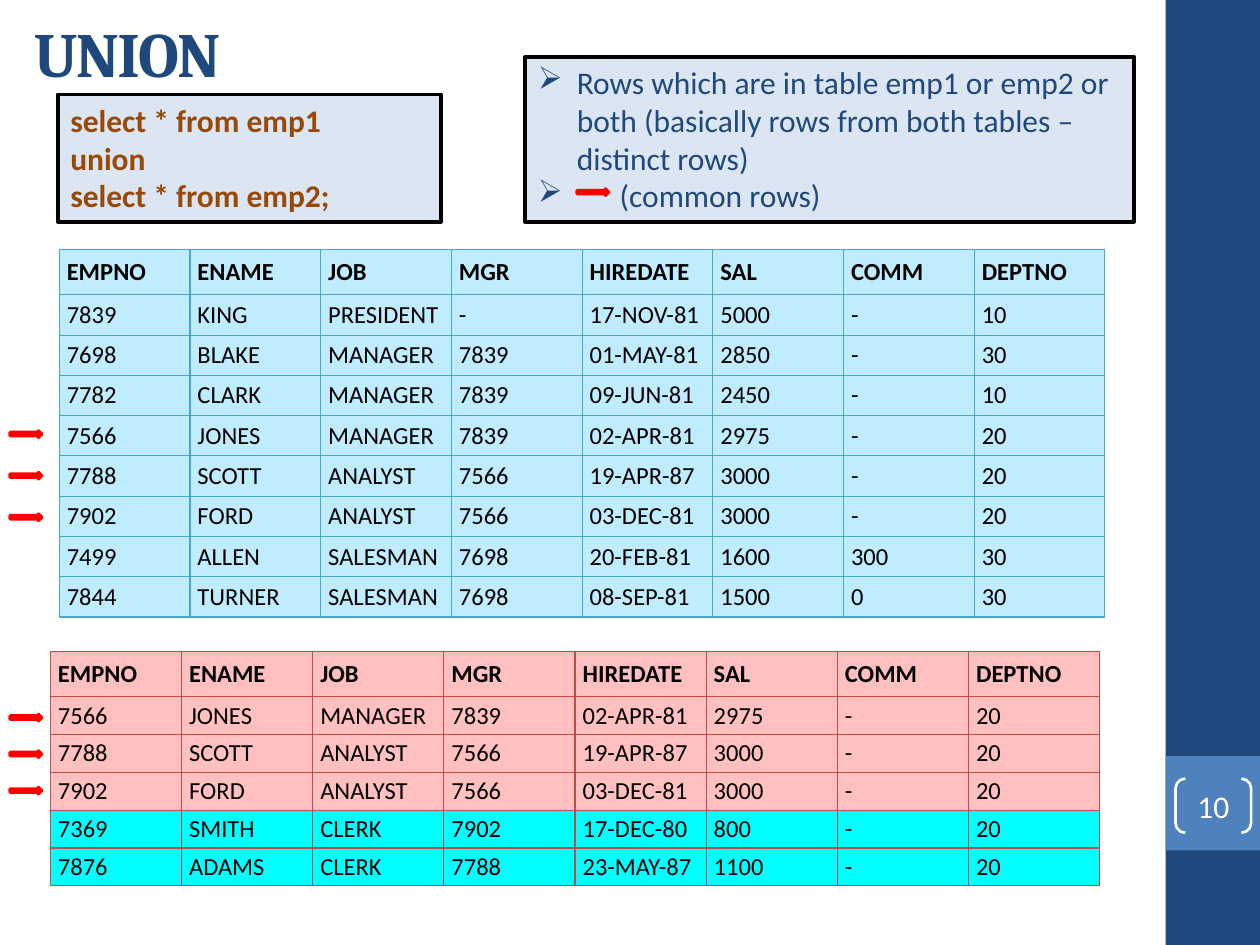
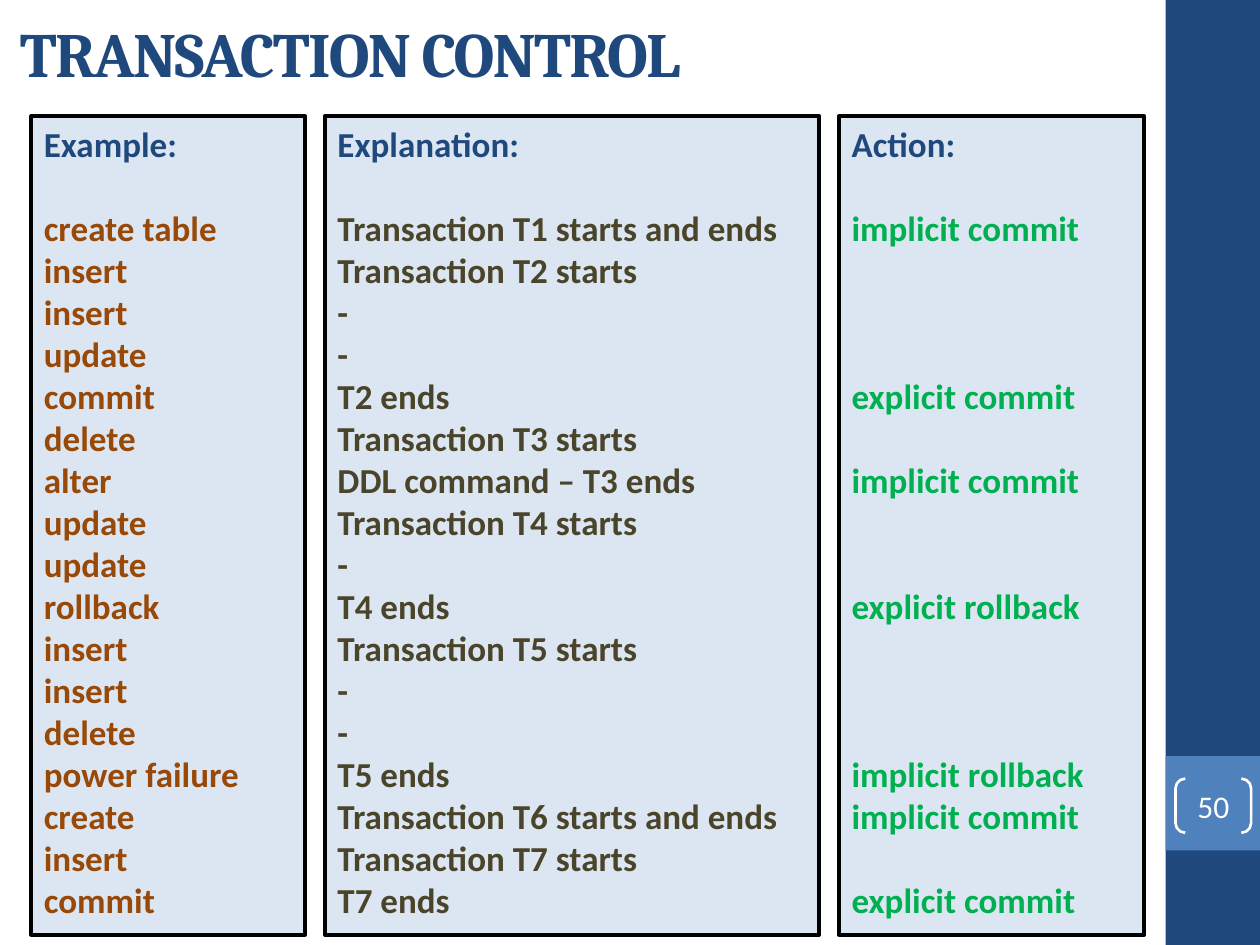
"""Build two SQL lecture slides: UNION and transaction control."""
from dataclasses import dataclass

from lxml.etree import SubElement
from pptx import Presentation
from pptx.dml.color import RGBColor as Rgb
from pptx.enum.shapes import MSO_SHAPE as Shape
from pptx.enum.text import MSO_ANCHOR as Anchor, PP_ALIGN as Align
from pptx.oxml.ns import qn
from pptx.util import Inches, Pt


@dataclass(frozen=True)
class Theme:
    navy: str = "1F497D"
    blue: str = "4F81BD"
    white: str = "FFFFFF"
    black: str = "000000"
    panel: str = "DCE6F2"
    code: str = "984807"
    olive: str = "4A452A"
    green: str = "00B050"
    red: str = "FF0000"
    sky: str = "BFECFF"
    sky_line: str = "46AAC5"
    rose: str = "FFC0BF"
    rose_line: str = "BF4C48"
    cyan: str = "00FFFF"
    title_font: str = "Cambria"
    body_font: str = "Calibri"
    title_size: int = 36
    list_size: int = 20
    body_size: int = 18
    table_size: int = 14
    blank_line: int = 24


THEME = Theme()

HEADER = "EMPNO ENAME JOB MGR HIREDATE SAL COMM DEPTNO"
COMMON_ROWS = [
    "7566 JONES MANAGER 7839 02-APR-81 2975 - 20",
    "7788 SCOTT ANALYST 7566 19-APR-87 3000 - 20",
    "7902 FORD ANALYST 7566 03-DEC-81 3000 - 20",
]
EMP1_ROWS = [
    "7839 KING PRESIDENT - 17-NOV-81 5000 - 10",
    "7698 BLAKE MANAGER 7839 01-MAY-81 2850 - 30",
    "7782 CLARK MANAGER 7839 09-JUN-81 2450 - 10",
    *COMMON_ROWS,
    "7499 ALLEN SALESMAN 7698 20-FEB-81 1600 300 30",
    "7844 TURNER SALESMAN 7698 08-SEP-81 1500 0 30",
]
EMP2_ONLY_ROWS = [
    "7369 SMITH CLERK 7902 17-DEC-80 800 - 20",
    "7876 ADAMS CLERK 7788 23-MAY-87 1100 - 20",
]

TRANSACTION_STEPS = [
    ("create table", "Transaction T1 starts and ends", "implicit commit"),
    ("insert", "Transaction T2 starts", ""),
    ("insert", "-", ""),
    ("update", "-", ""),
    ("commit", "T2 ends", "explicit commit"),
    ("delete", "Transaction T3 starts", ""),
    ("alter", "DDL command – T3 ends", "implicit commit"),
    ("update", "Transaction T4 starts", ""),
    ("update", "-", ""),
    ("rollback", "T4 ends", "explicit rollback"),
    ("insert", "Transaction T5 starts", ""),
    ("insert", "-", ""),
    ("delete", "-", ""),
    ("power failure", "T5 ends", "implicit rollback"),
    ("create", "Transaction T6 starts and ends", "implicit commit"),
    ("insert", "Transaction T7 starts", ""),
    ("commit", "T7 ends", "explicit commit"),
]


def style_paragraph(para, size, color, bold=False, font=THEME.body_font):
    for span in para.runs:
        span.font.name = font
        span.font.size = Pt(size)
        span.font.bold = bold
        span.font.color.rgb = Rgb.from_string(color)


def add_box(page, kind, left, top, width, height, fill=None, line=None, weight=1):
    box = page.shapes.add_shape(
        kind, Inches(left), Inches(top), Inches(width), Inches(height))
    box.shadow.inherit = False
    if fill:
        box.fill.solid()
        box.fill.fore_color.rgb = Rgb.from_string(fill)
    else:
        box.fill.background()
    if line:
        box.line.color.rgb = Rgb.from_string(line)
        box.line.width = Pt(weight)
    else:
        box.line.fill.background()
    return box


def add_panel(page, left, top, width, height, lines, size, color, bold=False):
    box = add_box(page, Shape.RECTANGLE, left, top, width, height,
                  THEME.panel, THEME.black, 2.25)
    frame = box.text_frame
    frame.word_wrap = True
    frame.vertical_anchor = Anchor.TOP
    frame.text = "\n".join(lines)
    for para in frame.paragraphs:
        para.alignment = Align.LEFT
        style_paragraph(para, size, color, bold)
    return frame


def add_bullet(para, indent):
    properties = para._p.get_or_add_pPr()
    properties.set("marL", str(Inches(indent)))
    properties.set("indent", str(-Inches(indent)))
    SubElement(properties, qn("a:buChar"), char="➢")


def add_title(page, text, left):
    box = page.shapes.add_textbox(
        Inches(left), Inches(0.08), Inches(8.9), Inches(0.67))
    frame = box.text_frame
    frame.word_wrap = True
    frame.vertical_anchor = Anchor.MIDDLE
    frame.text = text
    para = frame.paragraphs[0]
    style_paragraph(para, THEME.title_size, THEME.navy, True, THEME.title_font)
    para.runs[0].font._element.set("spc", "-100")


def add_side_band(page, number):
    add_box(page, Shape.RECTANGLE, 9.25, 0, 0.75, 7.5, THEME.navy)
    add_box(page, Shape.RECTANGLE, 9.25, 6, 0.75, 0.75, THEME.blue)
    bracket = add_box(page, Shape.DOUBLE_BRACKET, 9.33, 6.18, 0.6, 0.43,
                      line=THEME.white, weight=1.5)
    bracket.adjustments[0] = 0.18
    frame = bracket.text_frame
    frame.margin_left = frame.margin_right = 0
    frame.margin_top = frame.margin_bottom = 0
    frame.vertical_anchor = Anchor.MIDDLE
    frame.text = str(number)
    frame.paragraphs[0].alignment = Align.CENTER
    style_paragraph(frame.paragraphs[0], THEME.body_size, THEME.white)


def add_page(deck, title, title_left, number):
    page = deck.slides.add_slide(deck.slide_layouts[6])
    add_side_band(page, number)
    add_title(page, title, title_left)
    return page


def set_borders(cell, color):
    properties = cell._tc.get_or_add_tcPr()
    for side in ("lnL", "lnR", "lnT", "lnB"):
        edge = SubElement(properties, qn(f"a:{side}"), w=str(Pt(0.75)))
        fill = SubElement(edge, qn("a:solidFill"))
        SubElement(fill, qn("a:srgbClr"), val=color)


def add_employee_table(page, left, top, width, row_height, rows, fills, line):
    records = [row.split() for row in [HEADER, *rows]]
    header_height = 0.36
    table = page.shapes.add_table(
        len(records), len(records[0]), Inches(left), Inches(top), Inches(width),
        Inches(header_height + row_height * len(rows))).table
    table.first_row = table.horz_banding = False
    for index, (record, fill) in enumerate(zip(records, fills)):
        is_header = index == 0
        table.rows[index].height = Inches(header_height if is_header else row_height)
        for cell, value in zip(table.rows[index].cells, record):
            cell.text = value
            cell.vertical_anchor = Anchor.BOTTOM if is_header else Anchor.MIDDLE
            cell.margin_left = cell.margin_right = Inches(0.06)
            cell.margin_top = cell.margin_bottom = Inches(0.06 if is_header else 0.03)
            set_borders(cell, line)
            cell.fill.solid()
            cell.fill.fore_color.rgb = Rgb.from_string(fill)
            style_paragraph(cell.text_frame.paragraphs[0], THEME.table_size,
                            THEME.black, is_header)


def add_arrow(page, left, top):
    add_box(page, Shape.RIGHT_ARROW, left, top, 0.25, 0.05, THEME.blue, THEME.red, 2)


def add_step_column(page, left, width, heading, entries, color):
    """Draw a headed list in which each empty entry leaves one line free."""
    lines = [heading, *filter(None, entries)]
    frame = add_panel(page, left, 0.92, width, 6.5, lines,
                      THEME.list_size, color, True)
    heading_para, *entry_paras = frame.paragraphs
    style_paragraph(heading_para, THEME.list_size, THEME.navy, True)
    remaining = iter(entry_paras)
    skipped = 1
    for entry in entries:
        if entry:
            next(remaining).space_before = Pt(THEME.blank_line * skipped)
            skipped = 0
        else:
            skipped += 1


def build_union_page(deck):
    page = add_page(deck, "UNION", 0.17, 10)
    query = ["select * from emp1", "union", "select * from emp2;"]
    add_panel(page, 0.46, 0.75, 3.04, 1.01, query, THEME.body_size, THEME.code, True)
    notes = [
        "Rows which are in table emp1 or emp2 or both "
        "(basically rows from both tables – distinct rows)",
        "(common rows)",
    ]
    frame = add_panel(page, 4.17, 0.45, 4.83, 1.31, notes, THEME.body_size, THEME.navy)
    for para, indent in zip(frame.paragraphs, (0.31, 0.65)):
        add_bullet(para, indent)
    add_arrow(page, 4.58, 1.5)

    add_employee_table(page, 0.47, 1.98, 8.3, 0.32, EMP1_ROWS,
                       [THEME.sky] * (1 + len(EMP1_ROWS)), THEME.sky_line)
    emp2_fills = ([THEME.rose] * (1 + len(COMMON_ROWS))
                  + [THEME.cyan] * len(EMP2_ONLY_ROWS))
    add_employee_table(page, 0.4, 5.17, 8.33, 0.3, COMMON_ROWS + EMP2_ONLY_ROWS,
                       emp2_fills, THEME.rose_line)
    for first_top, step in ((3.42, 0.33), (5.67, 0.29)):
        for index in range(len(COMMON_ROWS)):
            add_arrow(page, 0.08, first_top + index * step)


def build_transaction_page(deck):
    page = add_page(deck, "TRANSACTION CONTROL", 0.06, 50)
    statements, explanations, actions = zip(*TRANSACTION_STEPS)
    columns = [
        (2.17, "Example:", statements, THEME.code),
        (3.92, "Explanation:", explanations, THEME.olive),
        (2.42, "Action:", actions, THEME.green),
    ]
    left, gap = 0.25, 0.16
    for width, heading, entries, color in columns:
        add_step_column(page, left, width, heading, entries, color)
        left += width + gap


def main():
    deck = Presentation()
    deck.slide_width, deck.slide_height = Inches(10), Inches(7.5)
    build_union_page(deck)
    build_transaction_page(deck)
    deck.save("out.pptx")


if __name__ == "__main__":
    main()
